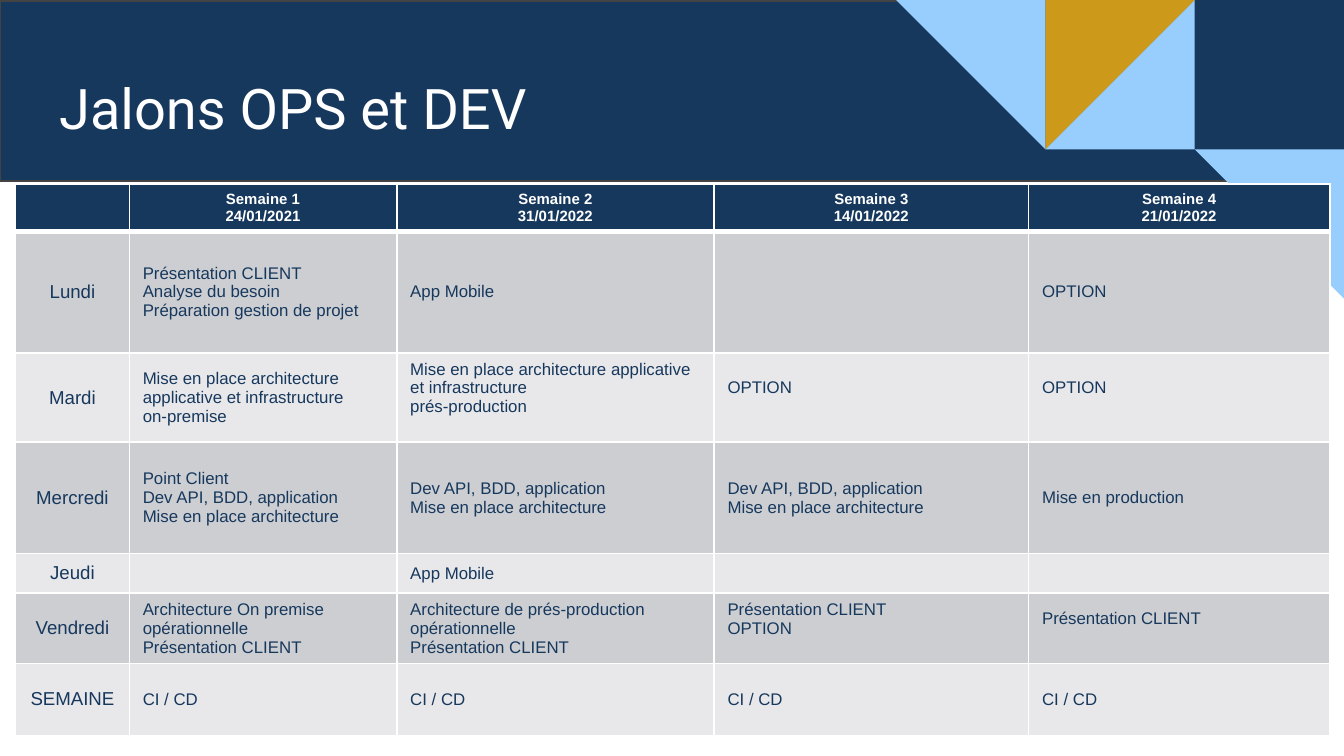
from lxml.etree import SubElement
from pptx import Presentation
from pptx.dml.color import RGBColor
from pptx.enum.shapes import MSO_SHAPE as Shape
from pptx.enum.text import MSO_ANCHOR as Anchor, PP_ALIGN as Align
from pptx.oxml.ns import qn
from pptx.util import Pt

COLORS = {
    "navy": "17385D", "sky": "98CEFE", "gold": "CC991A", "outline": "434343",
    "dark_band": "CCCED2", "light_band": "E8E8EA", "white": "FFFFFF",
}
SLIDE_W, SLIDE_H = 720, 405
TILE = 80
LINE_HEIGHT = 10.3

# Tiles of the corner motif: columns from the right edge, row, shape, rotation, colour
MOTIF = [
    (1, 0, Shape.RECTANGLE, 0, "navy"),
    (2, 0, Shape.RIGHT_TRIANGLE, 270, "sky"),
    (2, 0, Shape.RIGHT_TRIANGLE, 90, "gold"),
    (3, 0, Shape.RIGHT_TRIANGLE, 180, "sky"),
    (1, 1, Shape.RIGHT_TRIANGLE, 180, "sky"),
]

COLUMN_WIDTHS = [61, 143.3, 170, 168.5, 161.3]
ROW_HEIGHTS = [25.2, 65.3, 47.7, 59.5, 21.4, 37.5, 38.6]
API_WORK = "Dev API, BDD, application\nMise en place architecture"
SCHEDULE = [
    ["", "Semaine 1\n24/01/2021", "Semaine 2\n31/01/2022",
     "Semaine 3\n14/01/2022", "Semaine 4\n21/01/2022"],
    ["Lundi", "Présentation CLIENT\nAnalyse du besoin\nPréparation gestion de projet",
     "App Mobile", "", "OPTION"],
    ["Mardi",
     "Mise en place architecture applicative et infrastructure\non-premise",
     "Mise en place architecture applicative et infrastructure\nprés-production",
     "OPTION", "OPTION"],
    ["Mercredi", "Point Client\n" + API_WORK, API_WORK, API_WORK, "Mise en production"],
    ["Jeudi", "", "App Mobile", "", ""],
    ["Vendredi", "Architecture On premise opérationnelle\nPrésentation CLIENT",
     "Architecture de prés-production opérationnelle\nPrésentation CLIENT",
     "Présentation CLIENT\nOPTION", "Présentation CLIENT"],
    ["SEMAINE"] + ["CI / CD"] * 4,
]
# Cells (row, column) whose text sits half a line above the middle
RAISED = {(2, 2), (2, 3), (2, 4), (5, 3), (5, 4)}


def rgb(name):
    return RGBColor.from_string(COLORS[name])


def set_font(paragraph, name, size, color, bold=False):
    font = paragraph.font
    font.name, font.size, font.bold = name, Pt(size), bold
    font.color.rgb = rgb(color)


def add_block(slide, kind, left, top, width, height, color, rotation=0, outline=None):
    block = slide.shapes.add_shape(kind, Pt(left), Pt(top), Pt(width), Pt(height))
    block.shadow.inherit = False
    block.rotation = rotation
    block.fill.solid()
    block.fill.fore_color.rgb = rgb(color)
    if outline:
        block.line.color.rgb = rgb(outline)
        block.line.width = Pt(0.75)
    else:
        block.line.fill.background()


def place_title(slide, text):
    title = slide.shapes.title
    title.left, title.top, title.width, title.height = Pt(24.5), Pt(33.5), Pt(671), Pt(47.5)
    frame = title.text_frame
    frame.text = text
    frame.vertical_anchor = Anchor.MIDDLE
    frame.margin_left = frame.margin_right = Pt(7.2)
    frame.margin_top = frame.margin_bottom = Pt(7.2)
    frame.paragraphs[0].alignment = Align.LEFT
    set_font(frame.paragraphs[0], "Roboto", 30, "white")
    # Bring the title in front of the banner
    slide.shapes._spTree.append(title._element)


def set_borders(cell, bottom_width):
    properties = cell._tc.get_or_add_tcPr()
    widths = {"lnL": 1, "lnR": 1, "lnT": 1, "lnB": bottom_width}
    for position, (side, width) in enumerate(widths.items()):
        border = SubElement(properties, qn(f"a:{side}"), w=str(Pt(width)))
        fill = SubElement(border, qn("a:solidFill"))
        SubElement(fill, qn("a:srgbClr"), val=COLORS["white"])
        properties.insert(position, border)


def fill_cell(cell, row, column, text):
    header, day = row == 0, column == 0
    cell.fill.solid()
    band = "dark_band" if row % 2 else "light_band"
    cell.fill.fore_color.rgb = rgb("navy" if header else band)
    set_borders(cell, 3 if header or row == 1 and False else 1)
    cell.vertical_anchor = Anchor.MIDDLE
    if (row, column) in RAISED:
        cell.margin_bottom = Pt(3.6 + LINE_HEIGHT)
    cell.text_frame.text = text
    size = 8 if header else 10 if day else 9
    for paragraph in cell.text_frame.paragraphs:
        paragraph.alignment = Align.CENTER if header or day else Align.LEFT
        set_font(paragraph, "Arial", size, "white" if header else "navy", header)
        if not text:
            # An empty cell takes its line height from the end mark
            SubElement(paragraph._p, qn("a:endParaRPr"), sz=str(size * 100))


def add_schedule(slide):
    frame = slide.shapes.add_table(
        len(ROW_HEIGHTS), len(COLUMN_WIDTHS), Pt(8.3), Pt(98.6),
        Pt(sum(COLUMN_WIDTHS)), Pt(sum(ROW_HEIGHTS)))
    table = frame.table
    for column, width in zip(table.columns, COLUMN_WIDTHS):
        column.width = Pt(width)
    for row, height in zip(table.rows, ROW_HEIGHTS):
        row.height = Pt(height)
    for row, texts in enumerate(SCHEDULE):
        for column, text in enumerate(texts):
            fill_cell(table.cell(row, column), row, column, text)


def main():
    deck = Presentation()
    deck.slide_width, deck.slide_height = Pt(SLIDE_W), Pt(SLIDE_H)
    slide = deck.slides.add_slide(deck.slide_layouts[5])

    # Banner and corner motif
    add_block(slide, Shape.RECTANGLE, 0, 0.5, SLIDE_W, 96.5, "navy", outline="outline")
    for from_right, row, kind, rotation, color in MOTIF:
        add_block(slide, kind, SLIDE_W - from_right * TILE, row * TILE,
                  TILE, TILE, color, rotation)

    # Title and weekly schedule
    place_title(slide, "Jalons OPS et DEV")
    add_schedule(slide)
    deck.save("out.pptx")


if __name__ == "__main__":
    main()
